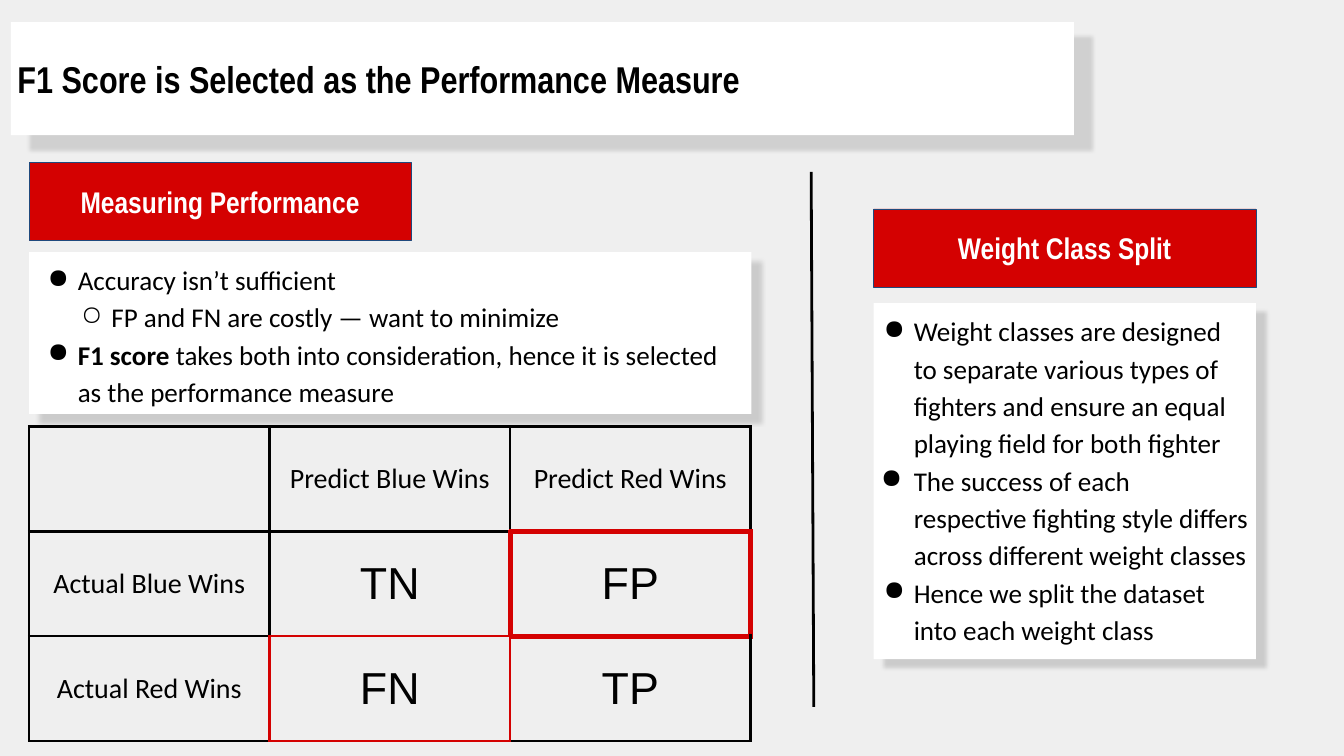
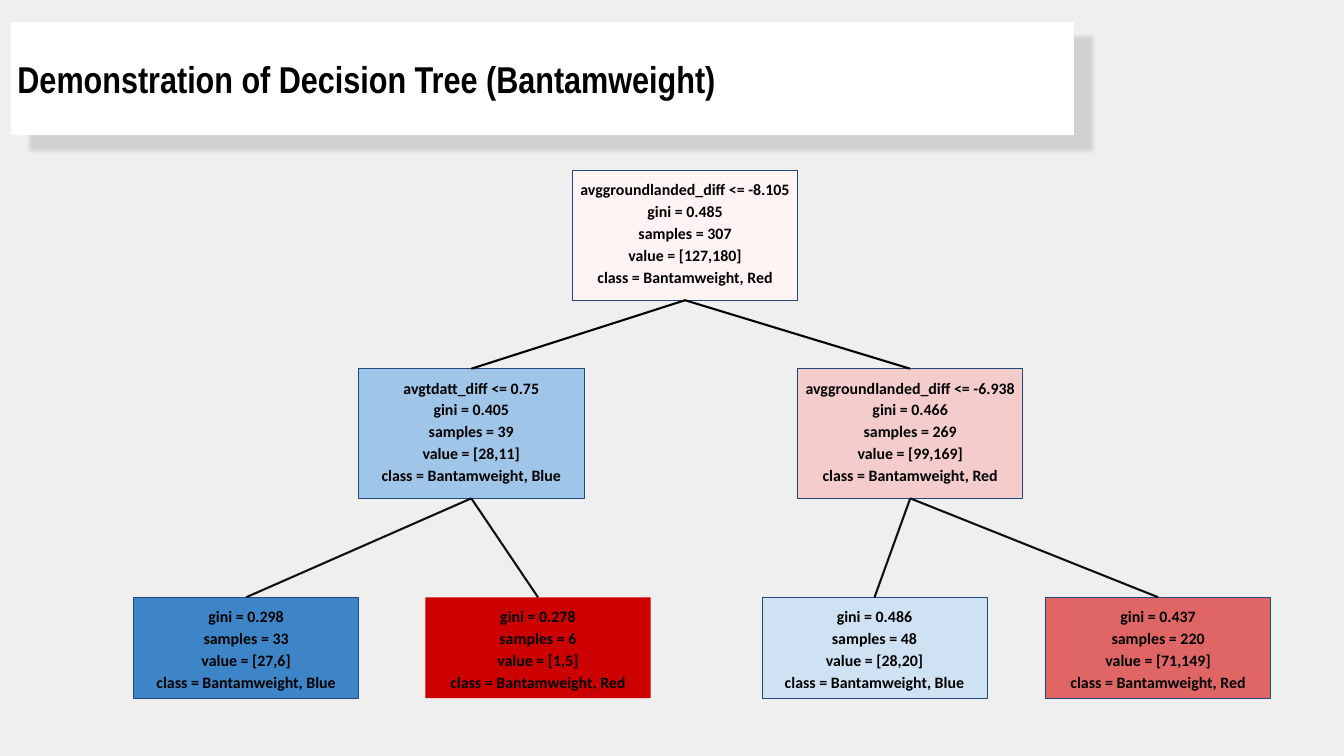
from dataclasses import dataclass
from itertools import product

from lxml import etree
from pptx import Presentation
from pptx.dml.color import RGBColor
from pptx.enum.shapes import MSO_CONNECTOR, MSO_SHAPE
from pptx.enum.text import MSO_ANCHOR, PP_ALIGN
from pptx.oxml import parse_xml
from pptx.oxml.ns import nsdecls, qn
from pptx.util import Cm, Pt

# Shared colours and fonts
BACKGROUND = RGBColor(0xEF, 0xEF, 0xEF)
WHITE = RGBColor(0xFF, 0xFF, 0xFF)
BLACK = RGBColor(0x00, 0x00, 0x00)
CHARCOAL = RGBColor(0x10, 0x10, 0x10)
RED = RGBColor(0xD4, 0x01, 0x01)
NAVY = RGBColor(0x1F, 0x49, 0x7D)
ROOT_PINK = RGBColor(0xFF, 0xF3, 0xF3)
PALE_RED = RGBColor(0xF4, 0xCC, 0xCC)
SOFT_RED = RGBColor(0xE0, 0x66, 0x66)
DEEP_RED = RGBColor(0xCC, 0x00, 0x00)
PALE_BLUE = RGBColor(0xCF, 0xE2, 0xF3)
SOFT_BLUE = RGBColor(0x9F, 0xC5, 0xE8)
DEEP_BLUE = RGBColor(0x3D, 0x85, 0xC6)
HEADING_FONT = "Arial Narrow"
BODY_FONT = "Calibri"
SYMBOL_FONT = "Arial"

# Shared measures in centimetres
INSET = 0.25
LEFT_EDGE, RIGHT_COLUMN = 1.1, 33.02
HEADER_WIDTH, HEADER_HEIGHT = 14.45, 2.95
NODE_WIDTH = 8.51

# Shadows: opacity in percent, distance in points, direction in degrees
TITLE_SHADOW = (13, 24, 39)
PANEL_SHADOW = (15, 14.2, 40)


@dataclass
class Bullet:
    text: str
    lead: str = ""
    level: int = 0
    hang: float = 1.14


def set_bullet(paragraph, bullet):
    paragraph.level = bullet.level
    properties = paragraph._p.get_or_add_pPr()
    properties.set("marL", str(Cm(1.27 * (bullet.level + 1))))
    properties.set("indent", str(-Cm(bullet.hang)))
    properties.append(parse_xml(
        f'<a:buClr {nsdecls("a")}><a:srgbClr val="{BLACK}"/></a:buClr>'))
    mark = etree.SubElement(properties, qn("a:buChar"))
    mark.set("char", "●○"[bullet.level])


def write_text(frame, lines, size=29, font=BODY_FONT, color=BLACK, bold=False,
               align=PP_ALIGN.LEFT, anchor=MSO_ANCHOR.TOP, spacing=None):
    """Write each line, a string or a Bullet, as one paragraph."""
    frame.word_wrap = True
    frame.vertical_anchor = anchor
    frame.margin_left = frame.margin_right = Cm(INSET)
    frame.margin_top = frame.margin_bottom = Cm(INSET)
    for index, line in enumerate(lines):
        paragraph = frame.add_paragraph() if index else frame.paragraphs[0]
        runs = [(line, bold)]
        if isinstance(line, Bullet):
            set_bullet(paragraph, line)
            runs = [(line.lead, True), (line.text, bold)]
        paragraph.alignment = align
        paragraph.line_spacing = spacing
        for text, is_bold in runs:
            if text:
                run = paragraph.add_run()
                run.text = text
                run.font.name = font
                run.font.size = Pt(size)
                run.font.bold = is_bold
                run.font.color.rgb = color


def add_box(slide, left, top, width, height, fill, line=None, shadow=None):
    box = slide.shapes.add_shape(MSO_SHAPE.RECTANGLE, Cm(left), Cm(top),
                                 Cm(width), Cm(height))
    box.fill.solid()
    box.fill.fore_color.rgb = fill
    if line is None:
        box.line.fill.background()
    else:
        box.line.color.rgb = line
        box.line.width = Pt(0.75)
    box.shadow.inherit = False
    if shadow:
        opacity, distance, direction = shadow
        effects = box._element.spPr.find(qn("a:effectLst"))
        effects.append(parse_xml(
            f'<a:outerShdw {nsdecls("a")} blurRad="{Pt(4.5)}" dist="{Pt(distance)}" '
            f'dir="{direction * 60000}" algn="bl" rotWithShape="0">'
            f'<a:srgbClr val="{BLACK}"><a:alpha val="{opacity * 1000}"/></a:srgbClr>'
            '</a:outerShdw>'))
    return box


def add_line(slide, start, end, color, width):
    ends = [Cm(value) for value in (*start, *end)]
    line = slide.shapes.add_connector(MSO_CONNECTOR.STRAIGHT, *ends)
    line.line.color.rgb = color
    line.line.width = Pt(width)
    etree.SubElement(line._element.spPr, qn("a:effectLst"))
    return line


def add_slide(presentation, title):
    slide = presentation.slides.add_slide(presentation.slide_layouts[6])
    slide.background.fill.solid()
    slide.background.fill.fore_color.rgb = BACKGROUND
    band = add_box(slide, 0.41, 0.84, 40.18, 4.27, WHITE, shadow=TITLE_SHADOW)
    write_text(band.text_frame, [title], size=40, font=HEADING_FONT, bold=True,
               anchor=MSO_ANCHOR.MIDDLE)
    return slide


def add_header(slide, left, top, text):
    header = add_box(slide, left, top, HEADER_WIDTH, HEADER_HEIGHT, RED, line=NAVY)
    write_text(header.text_frame, [text], size=32, font=HEADING_FONT, color=WHITE,
               bold=True, align=PP_ALIGN.CENTER, anchor=MSO_ANCHOR.MIDDLE)


def set_borders(cell, borders):
    properties = cell._tc.get_or_add_tcPr()
    for side in "LRTB":
        color, width = borders.get(side, (BLACK, 3))
        properties.append(parse_xml(
            f'<a:ln{side} {nsdecls("a")} w="{Pt(width)}"><a:solidFill>'
            f'<a:srgbClr val="{color}"/></a:solidFill></a:ln{side}>'))


def add_confusion_matrix(slide):
    rows = [["", "Predict Blue Wins", "Predict Red Wins"],
            ["Actual Blue Wins", "TN", "FP"],
            ["Actual Red Wins", "FN", "TP"]]
    thin, thick = (RED, 3), (RED, 6)
    # Red edges frame the two costly errors, FP and FN
    red_edges = {(0, 2): {"B": thick},
                 (1, 1): {"R": thick, "B": thin},
                 (1, 2): dict.fromkeys("LRTB", thick),
                 (2, 0): {"R": thin},
                 (2, 1): dict.fromkeys("LRTB", thin),
                 (2, 2): {"L": thin, "T": thick}}
    table = slide.shapes.add_table(3, 3, Cm(LEFT_EDGE), Cm(16.13),
                                   Cm(27.27), Cm(11.88)).table
    table.first_row = table.horz_banding = False
    for row, column in product(range(3), repeat=2):
        cell = table.cell(row, column)
        set_borders(cell, red_edges.get((row, column), {}))
        cell.fill.background()
        cell.vertical_anchor = MSO_ANCHOR.MIDDLE
        cell.margin_left = cell.margin_right = Cm(INSET)
        cell.margin_top = cell.margin_bottom = Cm(INSET)
        is_outcome = row > 0 and column > 0
        write_text(cell.text_frame, [rows[row][column]],
                   size=48 if is_outcome else 30,
                   font=SYMBOL_FONT if is_outcome else BODY_FONT,
                   align=PP_ALIGN.CENTER, anchor=None)


def add_node(slide, left, top, fill, lines, line=NAVY):
    height = 4.9 if len(lines) == 5 else 3.81
    node = add_box(slide, left, top, NODE_WIDTH, height, fill, line=line)
    write_text(node.text_frame, lines, size=17, bold=True,
               align=PP_ALIGN.CENTER, spacing=1.15)
    return node


def add_branch(slide, parent, child, color):
    branch = add_line(slide, (0, 0), (1, 1), color, 2.25)
    branch.begin_connect(parent, 2)
    branch.end_connect(child, 0)


def build_measure_slide(presentation):
    slide = add_slide(presentation, "F1 Score is Selected as the Performance Measure")

    # Left column: measure and confusion matrix
    add_header(slide, LEFT_EDGE, 6.15, "Measuring Performance")
    add_box(slide, LEFT_EDGE, 9.53, 27.3, 6.12, WHITE, shadow=PANEL_SHADOW)
    add_confusion_matrix(slide)
    reasons = slide.shapes.add_textbox(Cm(1.42), Cm(9.53), Cm(26.97), Cm(5.59))
    write_text(reasons.text_frame, [
        Bullet("Accuracy isn’t sufficient"),
        Bullet("FP and FN are costly — want to minimize", level=1),
        Bullet(" takes both into consideration, hence it is selected as the "
               "performance measure", lead="F1 score"),
    ], spacing=1.15)

    add_line(slide, (30.66, 6.5), (30.76, 26.72), BLACK, 3)

    # Right column: weight classes
    add_header(slide, RIGHT_COLUMN, 7.9, "Weight Class Split")
    panel = add_box(slide, RIGHT_COLUMN, 11.46, HEADER_WIDTH, 13.46, WHITE,
                    shadow=PANEL_SHADOW)
    write_text(panel.text_frame, [
        Bullet("Weight classes are designed to separate various types of fighters "
               "and ensure an equal playing field for both fighter"),
        Bullet("The success of each respective fighting style differs across "
               "different weight classes", hang=1.24),
        Bullet("Hence we split the dataset into each weight class"),
    ], spacing=1.15)


def build_tree_slide(presentation):
    slide = add_slide(presentation, "Demonstration of Decision Tree (Bantamweight)")
    root_top, middle_top, leaf_top = 6.45, 13.94, 22.58

    # Nodes
    root = add_node(slide, 21.64, root_top, ROOT_PINK, [
        "avggroundlanded_diff <= -8.105", "gini = 0.485", "samples = 307",
        "value = [127,180]", "class = Bantamweight, Red"])
    blue_split = add_node(slide, 13.56, middle_top, SOFT_BLUE, [
        "avgtdatt_diff <= 0.75", "gini = 0.405", "samples = 39",
        "value = [28,11]", "class = Bantamweight, Blue"])
    red_split = add_node(slide, 30.15, middle_top, PALE_RED, [
        "avggroundlanded_diff <= -6.938", "gini = 0.466", "samples = 269",
        "value = [99,169]", "class = Bantamweight, Red"])
    leaves = [
        (blue_split, 5.05, DEEP_BLUE, NAVY, "0.298", "33", "[27,6]", "Blue"),
        (blue_split, 16.08, DEEP_RED, None, "0.278", "6", "[1,5]", "Red"),
        (red_split, 28.8, PALE_BLUE, NAVY, "0.486", "48", "[28,20]", "Blue"),
        (red_split, 39.52, SOFT_RED, NAVY, "0.437", "220", "[71,149]", "Red"),
    ]

    # Branches
    for split in (blue_split, red_split):
        add_branch(slide, root, split, BLACK)
    for parent, left, fill, line, gini, samples, value, winner in leaves:
        leaf = add_node(slide, left, leaf_top, fill, [
            f"gini = {gini}", f"samples = {samples}", f"value = {value}",
            f"class = Bantamweight, {winner}"], line=line)
        add_branch(slide, parent, leaf, CHARCOAL)


def main():
    presentation = Presentation()
    presentation.slide_width = Cm(50.8)
    presentation.slide_height = Cm(28.58)
    build_measure_slide(presentation)
    build_tree_slide(presentation)
    presentation.save("out.pptx")


if __name__ == "__main__":
    main()
